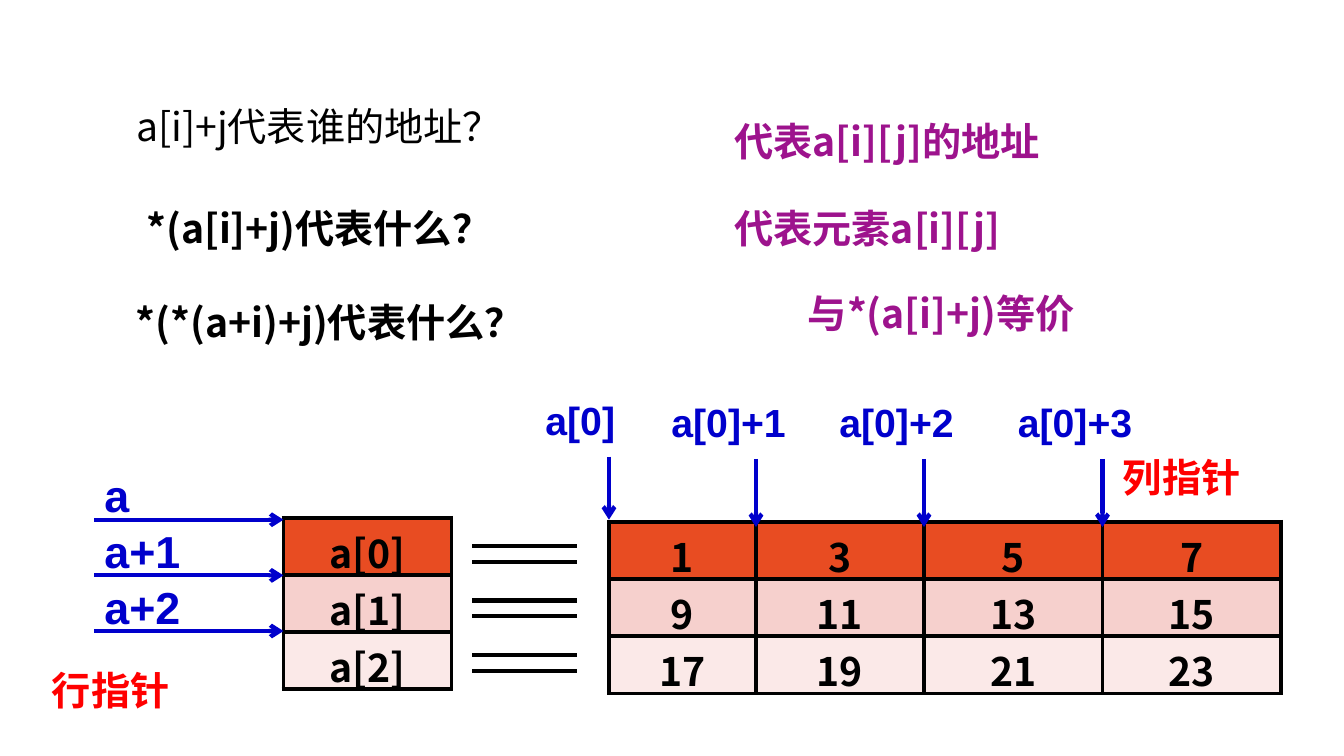
from itertools import accumulate

from lxml import etree
from pptx import Presentation
from pptx import util as u
from pptx.dml.color import RGBColor
from pptx.enum import shapes, text
from pptx.oxml import ns

PX = 9525
CJK = "Noto Sans CJK SC"
COLOURS = {"ink": "000000", "pointer": "0000CC", "note": "FF0000", "answer": "9D138D"}
ROW_FILLS = ["E84C22", "F6D0CD", "FBE9E8"]
ROW_HEIGHT = 54
COLUMN_WIDTHS = [140, 160, 170, 170]
VALUES = [[1, 3, 5, 7], [9, 11, 13, 15], [17, 19, 21, 23]]
QUESTIONS = [
    ("*(a[i]+j)代表什么？", (130, 181, 560, 75), "ink"),
    ("*(*(a+i)+j)代表什么？", (120, 270, 620, 75), "ink"),
    ("代表a[i][j]的地址", (690, 98, 480, 75), "answer"),
    ("代表元素a[i][j]", (690, 181, 480, 75), "answer"),
    ("与*(a[i]+j)等价", (760, 262, 470, 75), "answer"),
]


def px(*lengths):
    return [u.Emu(length * PX) for length in lengths]


def rgb(name):
    return RGBColor.from_string(COLOURS[name])


def add_child(parent, tag, **attributes):
    return etree.SubElement(parent, ns.qn(tag), attributes)


def write(frame, words, colour="ink", size=28, font=CJK, bold=True):
    para = frame.paragraphs[0]
    span = para.add_run()
    span.text = words
    for key, value in {"name": font, "size": u.Pt(size), "bold": bold}.items():
        setattr(span.font, key, value)
    span.font.color.rgb = rgb(colour)
    add_child(span.font._element, "a:ea", typeface=CJK)
    return para


def hang(para, indent, spacing):
    for key, value in {"line_spacing": spacing, "space_before": u.Pt(0)}.items():
        setattr(para, key, value)
    properties = para._p.get_or_add_pPr()
    properties.set("marL", str(indent * PX))
    properties.set("indent", str(-indent * PX))
    add_child(properties, "a:buNone")


def add_label(page, words, box, colour, size=28, font="Arial"):
    label = page.shapes.add_textbox(*px(*box))
    label.text_frame.word_wrap = True
    return write(label.text_frame, words, colour, size, font)


def add_line(page, start, end, colour, arrow=False):
    line = page.shapes.add_connector(shapes.MSO_CONNECTOR.STRAIGHT, *px(*start, *end))
    line.line.color.rgb = rgb(colour)
    line.line.width = u.Pt(3)
    if arrow:
        add_child(line.line._get_or_add_ln(), "a:tailEnd", type="arrow")
    add_child(line._element.spPr, "a:effectLst")


def add_cell_borders(cell):
    properties = cell._tc.get_or_add_tcPr()
    for side in ("a:lnL", "a:lnR", "a:lnT", "a:lnB"):
        border = add_child(properties, side, w=str(u.Pt(3)))
        add_child(add_child(border, "a:solidFill"), "a:srgbClr", val=COLOURS["ink"])


def add_array(page, left, top, widths, rows):
    box = px(left, top, sum(widths), ROW_HEIGHT * len(rows))
    table = page.shapes.add_table(len(rows), len(widths), *box).table
    table.first_row = table.horz_banding = False
    for column, width in zip(table.columns, px(*widths)):
        column.width = width
    for row, values, fill in zip(table.rows, rows, ROW_FILLS):
        row.height = u.Emu(ROW_HEIGHT * PX)
        for cell, value in zip(row.cells, values):
            add_cell_borders(cell)
            cell.fill.solid()
            cell.fill.fore_color.rgb = RGBColor.from_string(fill)
            cell.margin_left = cell.margin_right = u.Inches(0.13)
            write(cell.text_frame, str(value)).alignment = text.PP_ALIGN.CENTER


def add_questions(page):
    body = page.placeholders[1]
    for key, value in zip(("left", "top", "width", "height"), px(120, 98, 560, 75)):
        setattr(body, key, value)
    body.text_frame.auto_size = text.MSO_AUTO_SIZE.NONE
    hang(write(body.text_frame, "a[i]+j代表谁的地址？", bold=False), 24, 0.9)
    for words, box, colour in QUESTIONS:
        hang(add_label(page, words, box, colour, font=CJK), 36, 1.2)


def add_row_pointers(page, left, top):
    add_array(page, left, top, [160], [[f"a[{i}]"] for i in range(3)])
    for i, words in enumerate(["a", "a+1", "a+2"]):
        tip = top + 2 + 53 * i
        add_label(page, words, (left - 180, tip - 54, 160, 61), "pointer", 32)
        add_line(page, (left - 180, tip), (left, tip), "pointer", True)
    add_label(page, "行指针", (left - 230, top + 137, 190, 55), "note")


def add_equals_signs(page, left, top):
    for i in range(3):
        for gap in (0, 15):
            y = top + 52 * i + gap
            add_line(page, (left, y), (left + 100, y), "ink")


def add_column_pointers(page, left, top):
    add_array(page, left, top, COLUMN_WIDTHS, VALUES)
    edges = accumulate(COLUMN_WIDTHS[:-1], initial=left)
    for i, x in enumerate(edges):
        words, shift, drop, tip = (f"a[0]+{i}", 90, 2, 5) if i else ("a[0]", 70, 0, -2)
        add_label(page, words, (x - shift, top - 124 + drop, 230, 55), "pointer")
        add_line(page, (x, top - 62 + drop), (x, top + tip), "pointer", True)
    add_label(page, "列指针", (left + 480, top - 70, 190, 55), "note")


def main():
    deck = Presentation()
    deck.slide_width, deck.slide_height = px(1280, 720)
    page = deck.slides.add_slide(deck.slide_layouts[1])
    title = page.shapes.title._element
    title.getparent().remove(title)
    add_questions(page)
    add_row_pointers(page, 270, 493)
    add_equals_signs(page, 450, 520)
    add_column_pointers(page, 580, 497)
    deck.save("out.pptx")


if __name__ == "__main__":
    main()
